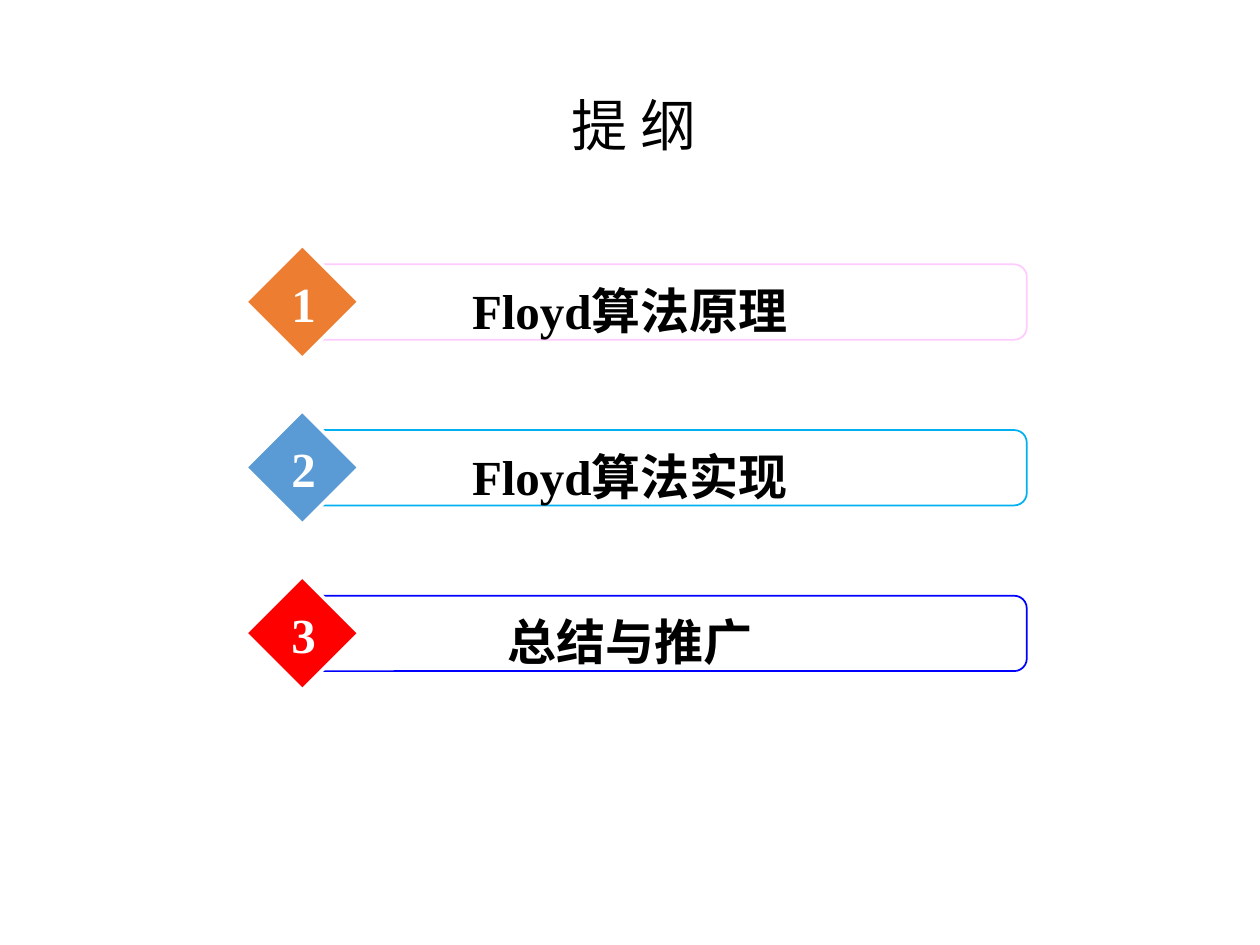
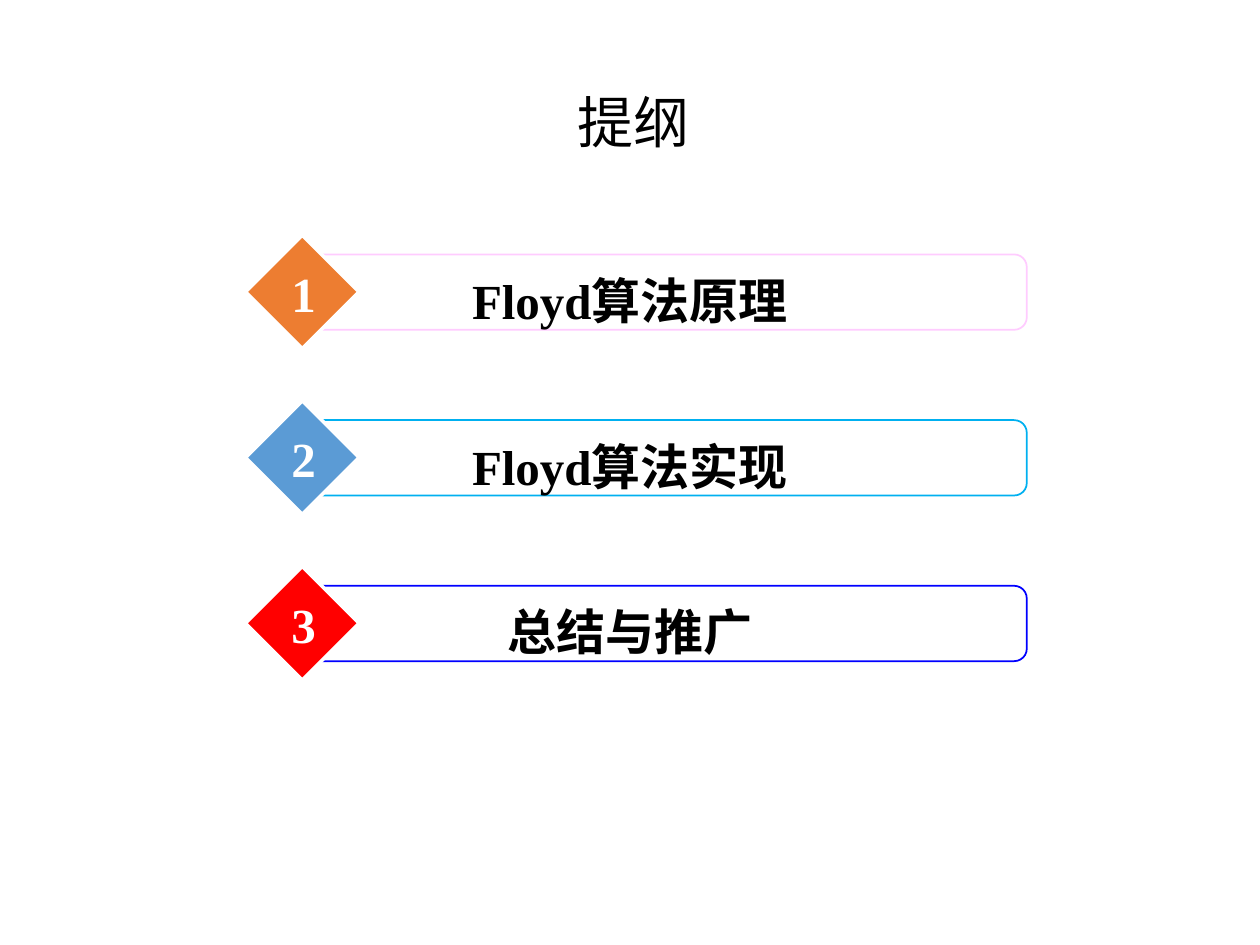
from dataclasses import dataclass

from lxml.etree import SubElement
from pptx import Presentation
from pptx.dml.color import RGBColor
from pptx.enum.shapes import MSO_SHAPE
from pptx.enum.text import MSO_ANCHOR, MSO_AUTO_SIZE, PP_ALIGN
from pptx.oxml.ns import qn
from pptx.util import Cm, Pt


@dataclass(frozen=True)
class Theme:
    black: str = "000000"
    white: str = "FFFFFF"
    chinese_font: str = "Noto Sans CJK SC"
    latin_font: str = "Times New Roman"
    title_size: int = 32
    item_size: int = 28
    bar_line: float = 1
    diamond_line: float = 2


THEME = Theme()

# Topic, bar outline colour, diamond colour
TOPICS = [
    ("Floyd算法原理", "FFCCFF", "ED7D31"),
    ("Floyd算法实现", "00B0F0", "5B9BD5"),
    ("总结与推广", "0000FF", "FF0000"),
]

# Title, top of the title, top of the first bar (cm)
OUTLINES = [
    ("提 纲", 1.57, 5.33),
    ("提纲", 1.52, 5.13),
]
ROW_PITCH = 3.34

TITLE_FORMAT = {"size": Pt(THEME.title_size), "name": THEME.chinese_font}
ITEM_FORMAT = {"size": Pt(THEME.item_size), "name": THEME.latin_font, "bold": True}


def set_attributes(target, values):
    for name, value in values.items():
        setattr(target, name, value)


def add_text(shapes, text, box, color, font_format, frame_format, line_spacing=None):
    """Add a centred text box; box is left, top, width, height in cm."""
    text_box = shapes.add_textbox(*map(Cm, box))
    set_attributes(text_box.text_frame, frame_format)
    paragraph = text_box.text_frame.paragraphs[0]
    set_attributes(paragraph, {"alignment": PP_ALIGN.CENTER, "line_spacing": line_spacing})
    run = paragraph.add_run()
    run.text = text
    set_attributes(run.font, font_format)
    run.font.color.rgb = RGBColor.from_string(color)
    SubElement(run.font._element, qn("a:ea"), typeface=THEME.chinese_font)


def add_box(shapes, kind, box, fill, line, line_width):
    shape = shapes.add_shape(kind, *map(Cm, box))
    shape.shadow.inherit = False
    shape.fill.solid()
    shape.fill.fore_color.rgb = RGBColor.from_string(fill)
    shape.line.color.rgb = RGBColor.from_string(line)
    shape.line.width = Pt(line_width)


def add_title(slide, text, top):
    frame_format = {"word_wrap": True, "vertical_anchor": MSO_ANCHOR.MIDDLE}
    add_text(slide.shapes, text, (0.64, top, 24.28, 2.03), THEME.black,
             TITLE_FORMAT, frame_format, line_spacing=0.9)


def add_topic(slide, number, topic, top):
    """Add one numbered row, grouped; top is that of its bar."""
    text, bar_color, diamond_color = topic
    shapes = slide.shapes.add_group_shape().shapes
    add_box(shapes, MSO_SHAPE.ROUNDED_RECTANGLE, (6.22, top, 14.48, 1.52),
            THEME.white, bar_color, THEME.bar_line)
    add_box(shapes, MSO_SHAPE.DIAMOND, (4.95, top - 0.39, 2.29, 2.29),
            diamond_color, THEME.white, THEME.diamond_line)
    grow = {"auto_size": MSO_AUTO_SIZE.SHAPE_TO_FIT_TEXT}
    add_text(shapes, text, (6.98, top + 0.2, 11.43, 1.45), THEME.black,
             ITEM_FORMAT, {**grow, "word_wrap": True})
    add_text(shapes, str(number), (5.61, top + 0.05, 1.02, 1.45), THEME.white,
             ITEM_FORMAT, {**grow, "word_wrap": False})


def main():
    presentation = Presentation()
    set_attributes(presentation, {"slide_width": Cm(25.4), "slide_height": Cm(19.05)})
    for title, title_top, first_top in OUTLINES:
        slide = presentation.slides.add_slide(presentation.slide_layouts[6])
        add_title(slide, title, title_top)
        for row, topic in enumerate(TOPICS):
            add_topic(slide, row + 1, topic, first_top + row * ROW_PITCH)
    presentation.save("out.pptx")


if __name__ == "__main__":
    main()
